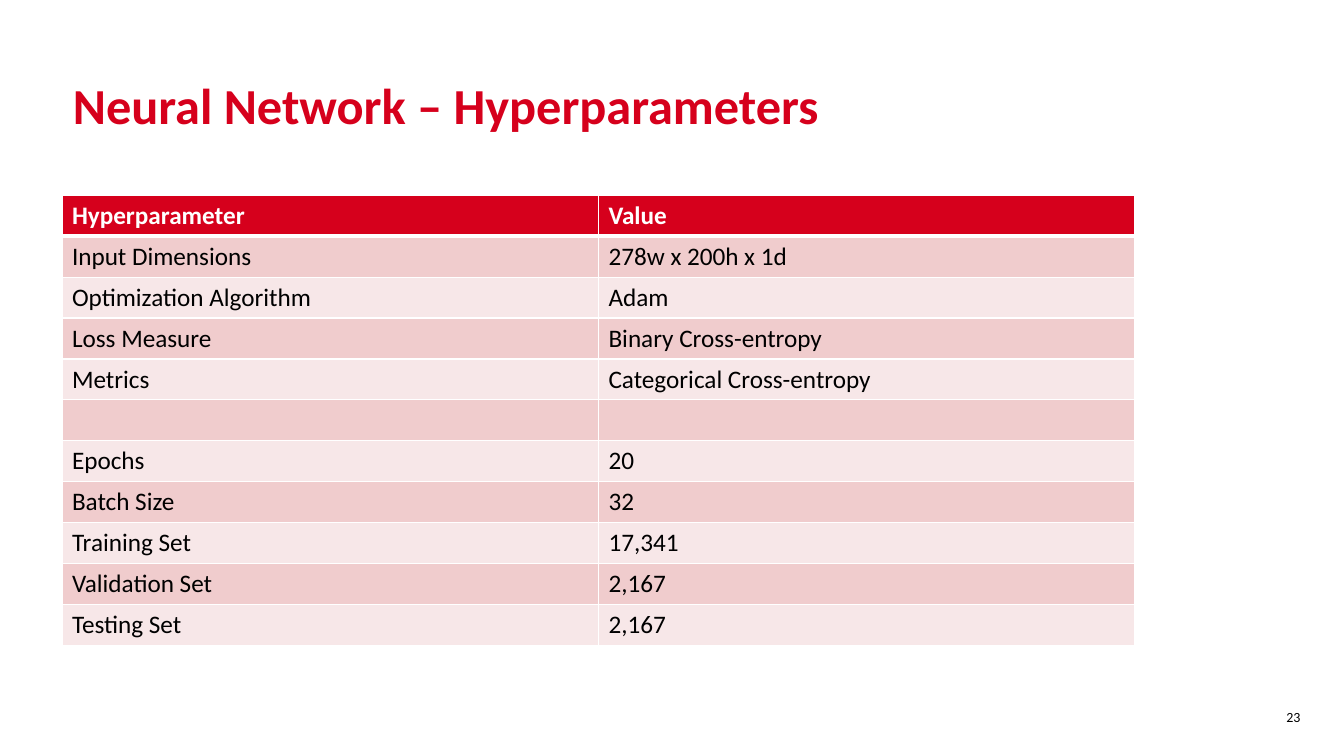
"""Build the slide that lists the neural network hyperparameters."""
from dataclasses import dataclass

import pptx
import pptx.dml.color
import pptx.enum.text
import pptx.oxml
import pptx.oxml.ns
import pptx.util

EMU_PER_PX = 9525


@dataclass(frozen=True)
class Theme:
    font: str = "Calibri"
    red: str = "D6001C"
    white: str = "FFFFFF"
    black: str = "000000"
    bands: tuple = ("F0CCCD", "F7E7E8")
    title_size: int = 36
    title_leading: int = 38
    table_size: int = 18
    number_size: int = 10
    rule: int = 1
    header_rule: int = 3


THEME = Theme()

HYPERPARAMETERS = [
    ("Hyperparameter", "Value"),
    ("Input Dimensions", "278w x 200h x 1d"),
    ("Optimization Algorithm", "Adam"),
    ("Loss Measure", "Binary Cross-entropy"),
    ("Metrics", "Categorical Cross-entropy"),
    ("", ""),
    ("Epochs", "20"),
    ("Batch Size", "32"),
    ("Training Set", "17,341"),
    ("Validation Set", "2,167"),
    ("Testing Set", "2,167"),
]


def px(length):
    return pptx.util.Emu(length * EMU_PER_PX)


def rgb(colour):
    return pptx.dml.color.RGBColor.from_string(colour)


def add_run(paragraph, wording, size, colour, bold=False):
    run = paragraph.add_run()
    run.text = wording
    run.font.name = THEME.font
    run.font.size = pptx.util.Pt(size)
    run.font.bold = bold
    run.font.color.rgb = rgb(colour)


def add_text_frame(slide, left, top, width, height):
    frame = slide.shapes.add_textbox(px(left), px(top), px(width), px(height)).text_frame
    frame.word_wrap = True
    return frame


def add_title(slide, wording):
    title = add_text_frame(slide, 60, 49, 1020, 108)
    title.vertical_anchor = pptx.enum.text.MSO_ANCHOR.MIDDLE
    heading = title.paragraphs[0]
    heading.line_spacing = pptx.util.Pt(THEME.title_leading)
    add_run(heading, wording, THEME.title_size, THEME.red, bold=True)


def add_slide_number(slide, number):
    footer = add_text_frame(slide, 960, 670, 288, 38).paragraphs[0]
    footer.alignment = pptx.enum.text.PP_ALIGN.RIGHT
    add_run(footer, number, THEME.number_size, THEME.black)


def set_borders(cell, top, bottom):
    widths = {"L": THEME.rule, "R": THEME.rule, "T": top, "B": bottom}
    properties = cell._tc.get_or_add_tcPr()
    for side, width in widths.items():
        properties.append(pptx.oxml.parse_xml(
            f'<a:ln{side} {pptx.oxml.ns.nsdecls("a")} w="{pptx.util.Pt(width)}">'
            f'<a:solidFill><a:srgbClr val="{THEME.white}"/></a:solidFill></a:ln{side}>'
        ))


def style_cell(cell, wording, row):
    is_header = row == 0
    set_borders(
        cell,
        top=THEME.header_rule if row == 1 else THEME.rule,
        bottom=THEME.header_rule if is_header else THEME.rule,
    )
    cell.fill.solid()
    cell.fill.fore_color.rgb = rgb(THEME.red if is_header else THEME.bands[(row - 1) % 2])
    if wording:
        colour = THEME.white if is_header else THEME.black
        add_run(cell.text_frame.paragraphs[0], wording, THEME.table_size, colour, is_header)


def add_hyperparameter_table(slide, entries, left, top, column_width, row_height):
    row_count, column_count = len(entries), len(entries[0])
    table = slide.shapes.add_table(
        row_count, column_count, px(left), px(top),
        px(column_width * column_count), px(row_height * row_count),
    ).table
    for row, entry in enumerate(entries):
        for column, wording in enumerate(entry):
            style_cell(table.cell(row, column), wording, row)


def main():
    presentation = pptx.Presentation()
    presentation.slide_width, presentation.slide_height = px(1280), px(720)
    slide = presentation.slides.add_slide(presentation.slide_layouts[6])
    add_title(slide, "Neural Network – Hyperparameters")
    add_hyperparameter_table(slide, HYPERPARAMETERS, 59, 186, 511, 39)
    add_slide_number(slide, "23")
    presentation.save("out.pptx")


if __name__ == "__main__":
    main()
